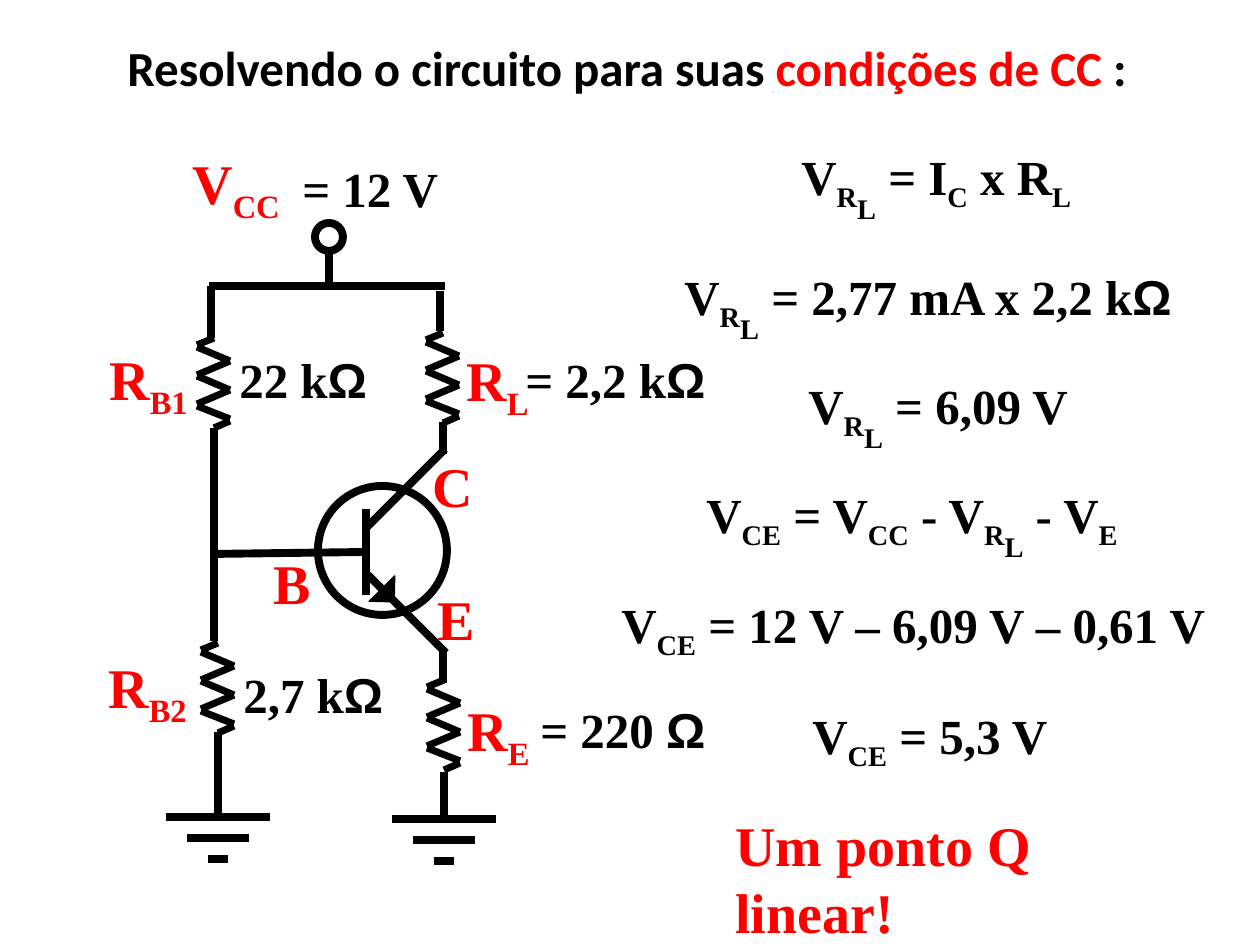
from pptx import Presentation
from pptx.dml.color import RGBColor
from pptx.enum.shapes import MSO_CONNECTOR as Connector, MSO_SHAPE as Shape
from pptx.enum.text import MSO_AUTO_SIZE as AutoSize
from pptx.oxml.ns import qn
from pptx.util import Emu, Pt
from lxml.etree import SubElement

COLORS = {"ink": "000000", "accent": "FF0000"}
SERIF = "Times New Roman"
LABEL, VALUE = 32, 28  # text sizes in points

# Spans are (text, baseline shift in percent)
V_RL = [("V", 0), ("R", -25), ("L", -50)]
V_CE = [("V", 0), ("CE", -25)]
OHM = ("Ω", 0)


def px(value):
    return Emu(round(value * 914400 / 126))


def color(name):
    return RGBColor.from_string(COLORS[name])


def add_wire(shapes, x1, y1, x2, y2, weight=4.5):
    wire = shapes.add_connector(Connector.STRAIGHT, px(x1), px(y1), px(x2), px(y2))
    wire.line.color.rgb = color("ink")
    wire.line.width = Pt(weight)
    SubElement(wire._element.spPr, qn("a:effectLst"))


def add_ring(shapes, left, top, size):
    ring = shapes.add_shape(Shape.OVAL, px(left), px(top), px(size), px(size))
    ring.shadow.inherit = False
    ring.fill.background()
    ring.line.color.rgb = color("ink")
    ring.line.width = Pt(4.5)


def add_resistor(page, left, top):
    shapes = page.shapes.add_group_shape().shapes
    middle, right = 17, 33
    strokes = [
        (middle, 0, 0, 7),
        (0, 9, right, 23), (right, 23, 0, 37),
        (0, 38, right, 52), (right, 52, 0, 66),
        (0, 68, right, 81),
        (right, 83, middle, 90),
    ]
    for x1, y1, x2, y2 in strokes:
        add_wire(shapes, left + x1, top + y1, left + x2, top + y2, 4)


def add_ground(page, center, top):
    shapes = page.shapes.add_group_shape().shapes
    for row, half in enumerate((52, 31, 10)):
        y = top + 21 * row
        add_wire(shapes, center - half, y, center + half, y)


def add_transistor(page):
    add_ring(page.shapes, 318, 486, 129)
    # Emitter with its arrow
    emitter = page.shapes.add_group_shape().shapes
    add_wire(emitter, 368, 575, 446, 653)
    arrow = emitter.add_shape(Shape.RIGHT_TRIANGLE, px(369), px(576), px(26), px(25))
    arrow.rotation = 271.3
    arrow.shadow.inherit = False
    arrow.fill.solid()
    arrow.fill.fore_color.rgb = color("ink")
    arrow.line.color.rgb = color("ink")
    arrow.line.width = Pt(0.75)
    # Base lead, collector and base bar
    add_wire(page.shapes, 366, 552, 212, 554)
    add_wire(page.shapes, 367, 527, 445, 449)
    add_wire(page.shapes, 366, 509, 366, 595)


def add_text(page, left, top, width, height, wrap=False):
    box = page.shapes.add_textbox(px(left), px(top), px(width), px(height))
    frame = box.text_frame
    frame.word_wrap = wrap
    frame.auto_size = AutoSize.SHAPE_TO_FIT_TEXT
    return frame.paragraphs[0]


def set_font(para, name, size, tint=None):
    para.font.name = name
    para.font.size = Pt(size)
    para.font.bold = True
    if tint:
        para.font.color.rgb = color(tint)


def add_formula(page, left, top, width, spans, size=VALUE, tint="ink", wrap=False):
    para = add_text(page, left, top, width, 73 if size == LABEL else 66, wrap)
    set_font(para, SERIF, size, tint)
    for text, shift in spans:
        span = para.add_run()
        span.text = text
        if text == "Ω":
            span.font.name = "Arial"
        if shift:
            span._r.get_or_add_rPr().set("baseline", str(shift * 1000))


def add_title(page):
    para = add_text(page, 115, 31, 1037, 72)
    set_font(para, "Calibri", VALUE)
    for text, tint in (("Resolvendo o circuito para suas ", "ink"),
                       ("condições de CC ", "accent"), (":", "ink")):
        span = para.add_run()
        span.text = text
        span.font.color.rgb = color(tint)


def add_circuit(page):
    add_transistor(page)
    for left, top in ((426, 333), (197, 338), (427, 680), (201, 643)):
        add_resistor(page, left, top)
    for center, top in ((444, 819), (218, 817)):
        add_ground(page, center, top)
    add_ring(page.shapes, 315, 223, 28)
    wires = [
        (329, 252, 329, 288),  # supply
        (209, 286, 445, 286),
        (211, 286, 211, 338),  # bias branch
        (214, 428, 214, 641),
        (218, 732, 218, 817),
        (440, 331, 440, 291),  # load branch
        (443, 422, 443, 454),
        (443, 651, 443, 683),
        (444, 772, 444, 819),
    ]
    for wire in wires:
        add_wire(page.shapes, *wire)


def main():
    deck = Presentation()
    deck.slide_width, deck.slide_height = px(1260), px(945)
    page = deck.slides.add_slide(deck.slide_layouts[6])

    add_title(page)
    add_circuit(page)

    # Component and terminal names
    names = [
        (97, 338, 110, "R", "B1"), (96, 646, 110, "R", "B2"),
        (454, 339, 91, "R", "L"), (455, 689, 91, "R", "E"),
        (180, 142, 120, "V", "CC"),
        (425, 578, 63, "E", ""), (261, 542, 63, "B", ""), (420, 445, 66, "C", ""),
    ]
    for left, top, width, symbol, index in names:
        spans = [(symbol, 0)] + ([(index, -25)] if index else [])
        add_formula(page, left, top, width, spans, LABEL, "accent")

    # Component values, then the calculation
    formulas = [
        (290, 152, 161, [("= 12 V", 0)]),
        (227, 343, 154, [("22 k", 0), OHM]),
        (231, 658, 165, [("2,7 k", 0), OHM]),
        (513, 343, 205, [("= 2,2 k", 0), OHM]),
        (528, 693, 192, [("= 220 ", 0), OHM]),
        (789, 140, 307, V_RL + [(" = I", 0), ("C", -25), (" x R", 0), ("L", -25)]),
        (672, 260, 533, V_RL + [(" = 2,77 mA x 2,2 k", 0), OHM]),
        (796, 369, 292, V_RL + [(" = 6,09 V", 0)]),
        (694, 478, 461, V_CE + [(" = V", 0), ("CC", -25), (" - ", 0)]
         + V_RL + [(" - V", 0), ("E", -25)]),
        (609, 588, 634, V_CE + [(" = 12 V – 6,09 V – 0,61 V", 0)]),
        (800, 699, 270, V_CE + [(" = 5,3 V", 0)]),
    ]
    for left, top, width, spans in formulas:
        add_formula(page, left, top, width, spans)

    # Conclusion
    add_formula(page, 723, 804, 484, [("Um ponto Q linear!", 0)], LABEL, "accent", True)

    deck.save("out.pptx")


if __name__ == "__main__":
    main()
